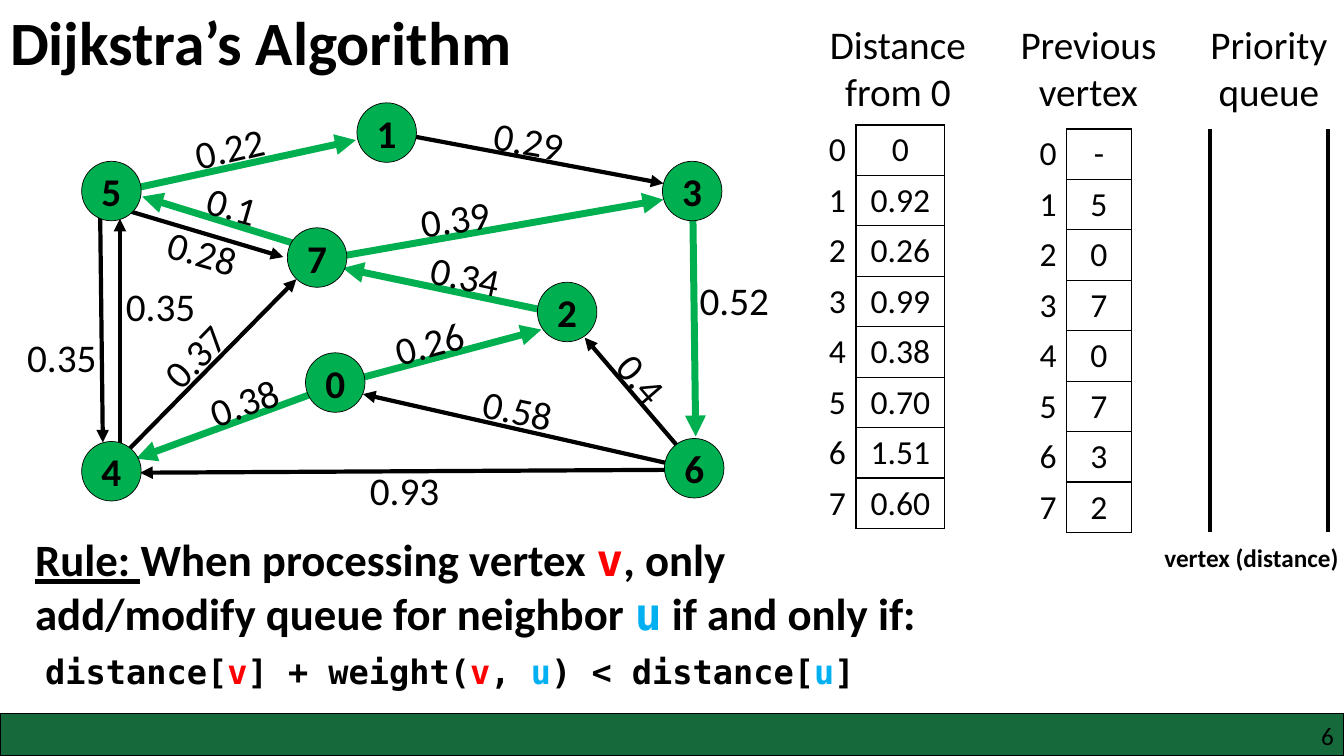
import dataclasses

import pptx
import pptx.dml.color
import pptx.enum.shapes
import pptx.enum.text
import pptx.oxml
import pptx.oxml.ns
import pptx.util

Inches = pptx.util.Inches
Pt = pptx.util.Pt
RGB = pptx.dml.color.RGBColor.from_string
ALIGN = pptx.enum.text.PP_ALIGN
ANCHOR = pptx.enum.text.MSO_ANCHOR
SHAPE = pptx.enum.shapes.MSO_SHAPE
NAMESPACE = pptx.oxml.ns.nsdecls("a")
NO_GRID_STYLE = "{2D5ABB26-0587-4C30-8999-92F81FD0307C}"


@dataclasses.dataclass(frozen=True)
class Theme:
    font: str = "Calibri"
    code_font: str = "DejaVu Sans Mono"
    ink: str = "000000"
    tree: str = "00B050"
    bar: str = "15693B"
    current: str = "FF0000"
    neighbor: str = "00B0F0"
    title: int = 44
    rule: int = 32
    label: int = 28
    cell: int = 24
    small: int = 18


THEME = Theme()

VERTICES = [(3.03, 2.5), (3.54, 0.02), (5.33, 1.8), (6.57, 0.6),
            (0.81, 3.38), (0.81, 0.6), (6.59, 3.35), (2.85, 1.26)]
OTHER_EDGES = [
    (6.92, 3.66, 5.8, 2.35), (6.86, 3.65, 3.6, 2.91), (6.87, 3.66, 1.39, 3.69),
    (1.07, 3.67, 2.94, 1.77), (1.03, 1.02, 2.81, 1.55), (0.99, 0.82, 1.02, 3.39),
    (1.19, 3.58, 1.19, 1.17), (3.87, 0.31, 6.58, 0.82),
]
TREE_EDGES = [
    (3.35, 2.81, 5.37, 2.27), (3.36, 2.81, 1.35, 3.55), (4.64 + 1, 2.13, 3.4, 1.66),
    (3.22, 1.57, 6.58, 0.98), (6.87, 0.94, 6.9, 3.33), (3.13, 1.48, 1.41, 0.95),
    (1.14, 0.91, 3.53, 0.39),
]
WEIGHTS = [
    ("0.35", 1.15, 1.75, 0), ("0.35", 0.17, 2.26, 0), ("0.37", 1.45, 2.16, 314),
    ("0.1", 1.95, 0.81, 16), ("0.28", 1.56, 1.25, 16), ("0.22", 1.83, 0.15, 347),
    ("0.38", 1.97, 2.66, 340), ("0.26", 3.81, 2.08, 345), ("0.39", 4.07, 0.86, 351),
    ("0.29", 4.8, 0.13, 10), ("0.34", 4.17, 1.47, 12), ("0.52", 6.84, 1.69, 0),
    ("0.93", 3.57, 3.58, 0), ("0.58", 4.69, 2.8, 12), ("0.4", 5.99, 2.53, 49),
]
DISTANCES = ["0", "0.92", "0.26", "0.99", "0.38", "0.70", "1.51", "0.60"]
PREVIOUS = ["-", "5", "0", "7", "0", "7", "3", "2"]


def style(font, size, bold=False, color=THEME.ink, name=THEME.font):
    font.name = name
    font.size = Pt(size)
    font.bold = bold
    font.color.rgb = RGB(color)


def add_text(page, text, left, top, width, height, size, align=ALIGN.LEFT, bold=False):
    box = page.shapes.add_textbox(Inches(left), Inches(top), Inches(width), Inches(height))
    box.text_frame.word_wrap = True
    box.text_frame.text = text
    para = box.text_frame.paragraphs[0]
    para.alignment = align
    style(para.runs[0].font, size, bold)
    return box


def add_line(page, start_x, start_y, end_x, end_y, color=THEME.ink, width=3, arrow=False):
    line = page.shapes.add_connector(
        pptx.enum.shapes.MSO_CONNECTOR.STRAIGHT,
        Inches(start_x), Inches(start_y), Inches(end_x), Inches(end_y))
    line.line.color.rgb = RGB(color)
    line.line.width = Pt(width)
    if arrow:
        line.line._get_or_add_ln().append(
            pptx.oxml.parse_xml(f'<a:tailEnd {NAMESPACE} type="triangle"/>'))
    line._element.spPr.append(pptx.oxml.parse_xml(f"<a:effectLst {NAMESPACE}/>"))


def add_filled(page, kind, left, top, width, height, fill, line_width):
    shape = page.shapes.add_shape(
        kind, Inches(left), Inches(top), Inches(width), Inches(height))
    shape.shadow.inherit = False
    shape.fill.solid()
    shape.fill.fore_color.rgb = RGB(fill)
    shape.line.color.rgb = RGB(THEME.ink)
    shape.line.width = Pt(line_width)
    return shape


def set_title(page, left, top, width, height):
    title = page.shapes.title
    title.left, title.top = Inches(left), Inches(top)
    title.width, title.height = Inches(width), Inches(height)
    title.text_frame.text = "Dijkstra’s Algorithm"
    title.text_frame.vertical_anchor = ANCHOR.MIDDLE
    para = title.text_frame.paragraphs[0]
    para.alignment = ALIGN.LEFT
    para.line_spacing = 0.9
    style(para.runs[0].font, THEME.title, True)


def add_heading(page, text, left, top):
    add_text(page, text, left, top, 1.71, 1.04, THEME.label, ALIGN.CENTER)


def outline_cell(cell):
    properties = cell._tc.get_or_add_tcPr()
    for side in ("lnL", "lnR", "lnT", "lnB"):
        properties.append(pptx.oxml.parse_xml(
            f'<a:{side} {NAMESPACE} w="12700"><a:solidFill>'
            f'<a:srgbClr val="{THEME.ink}"/></a:solidFill></a:{side}>'))


def add_array(page, values, left, top, widths):
    frame = page.shapes.add_table(
        len(values), 2, Inches(left), Inches(top), Inches(sum(widths)), Inches(4))
    table = frame.table
    table.first_row = table.horz_banding = False
    table._tbl.tblPr.find(pptx.oxml.ns.qn("a:tableStyleId")).text = NO_GRID_STYLE
    for column, width in zip(table.columns, widths):
        column.width = Inches(width)
    for index, value in enumerate(values):
        table.rows[index].height = Inches(0.5)
        outline_cell(table.cell(index, 1))
        for column, (text, align) in enumerate(
                [(str(index), ALIGN.RIGHT), (value, ALIGN.CENTER)]):
            cell = table.cell(index, column)
            cell.fill.background()
            cell.text_frame.text = text
            para = cell.text_frame.paragraphs[0]
            para.alignment = align
            style(para.runs[0].font, THEME.cell)


def add_queue(page, left, top, width, height):
    for side in (left, left + width):
        add_line(page, side, top, side, top + height)
    add_text(page, "vertex (distance)", left - 0.55, top + height + 0.05,
             2.04, 0.4, THEME.small, bold=True)


def add_graph(page, left, top):
    for edges, color, width in ((OTHER_EDGES, THEME.ink, 3), (TREE_EDGES, THEME.tree, 5)):
        for start_x, start_y, end_x, end_y in edges:
            add_line(page, left + start_x, top + start_y, left + end_x, top + end_y,
                     color, width, arrow=True)
    for number, (across, down) in enumerate(VERTICES):
        vertex = add_filled(page, SHAPE.OVAL, left + across, top + down,
                            0.59, 0.59, THEME.tree, 0.5)
        frame = vertex.text_frame
        frame.margin_left = frame.margin_right = frame.margin_top = frame.margin_bottom = 0
        frame.word_wrap = False
        frame.vertical_anchor = ANCHOR.MIDDLE
        frame.text = str(number)
        frame.paragraphs[0].alignment = ALIGN.CENTER
        style(frame.paragraphs[0].runs[0].font, THEME.label, True)
    for text, across, down, angle in WEIGHTS:
        width = 0.85 if angle == 49 else 1.12
        label = add_text(page, text, left + across, top + down, width, 0.58, THEME.label)
        label.rotation = angle


def add_rule(page, left, top, width, height):
    box = page.shapes.add_textbox(Inches(left), Inches(top), Inches(width), Inches(height))
    frame = box.text_frame
    frame.word_wrap = True
    v = ("v", THEME.current, THEME.code_font)
    u = ("u", THEME.neighbor, THEME.code_font)
    sentence = [(text, THEME.ink, THEME.font) for text in (
        "Rule: ", "When processing vertex ", ", only add/modify queue for neighbor ",
        " if and only if:")]
    code = [(text, THEME.ink, THEME.code_font) for text in (
        "distance[", "] + weight(", ", ", ") < distance[", "]")]
    condition = frame.add_paragraph()
    condition.space_before = Pt(8)
    condition._p.get_or_add_pPr().set("marL", str(Inches(0.1)))
    lines = [
        (frame.paragraphs[0], THEME.rule, [*sentence[:2], v, sentence[2], u, sentence[3]]),
        (condition, THEME.cell,
         [code[0], v, code[1], v, code[2], u, code[3], u, code[4]]),
    ]
    for para, size, spans in lines:
        for text, color, name in spans:
            span = para.add_run()
            span.text = text
            style(span.font, size, True, color, name)
    frame.paragraphs[0].runs[0].font.underline = True


def add_footer(page, left, top, width, height):
    add_filled(page, SHAPE.RECTANGLE, left, top, width, height, THEME.bar, 1)
    number = add_text(page, "6", left + width - 0.56, top + 0.07, 0.46, 0.3,
                      THEME.small, ALIGN.RIGHT)
    frame = number.text_frame
    frame.margin_left = frame.margin_right = frame.margin_top = frame.margin_bottom = 0


def main():
    deck = pptx.Presentation()
    deck.slide_width, deck.slide_height = Inches(13.33), Inches(7.5)
    page = deck.slides.add_slide(deck.slide_layouts.get_by_name("Title Only"))
    set_title(page, 0, -0.27, 11.5, 1.45)
    add_heading(page, "Distance from 0", 8.05, 0.15)
    add_array(page, DISTANCES, 7.86, 1.24, (0.63, 0.88))
    add_heading(page, "Previous vertex", 9.94, 0.15)
    add_array(page, PREVIOUS, 9.94, 1.28, (0.64, 0.64))
    add_heading(page, "Priority queue", 11.73, 0.15)
    add_queue(page, 12, 1.28, 1.17, 4)
    add_graph(page, 0, 1)
    add_footer(page, 0, 7.08, 13.33, 0.42)
    add_rule(page, 0.25, 5.23, 8.95, 1.8)
    deck.save("out.pptx")


if __name__ == "__main__":
    main()
